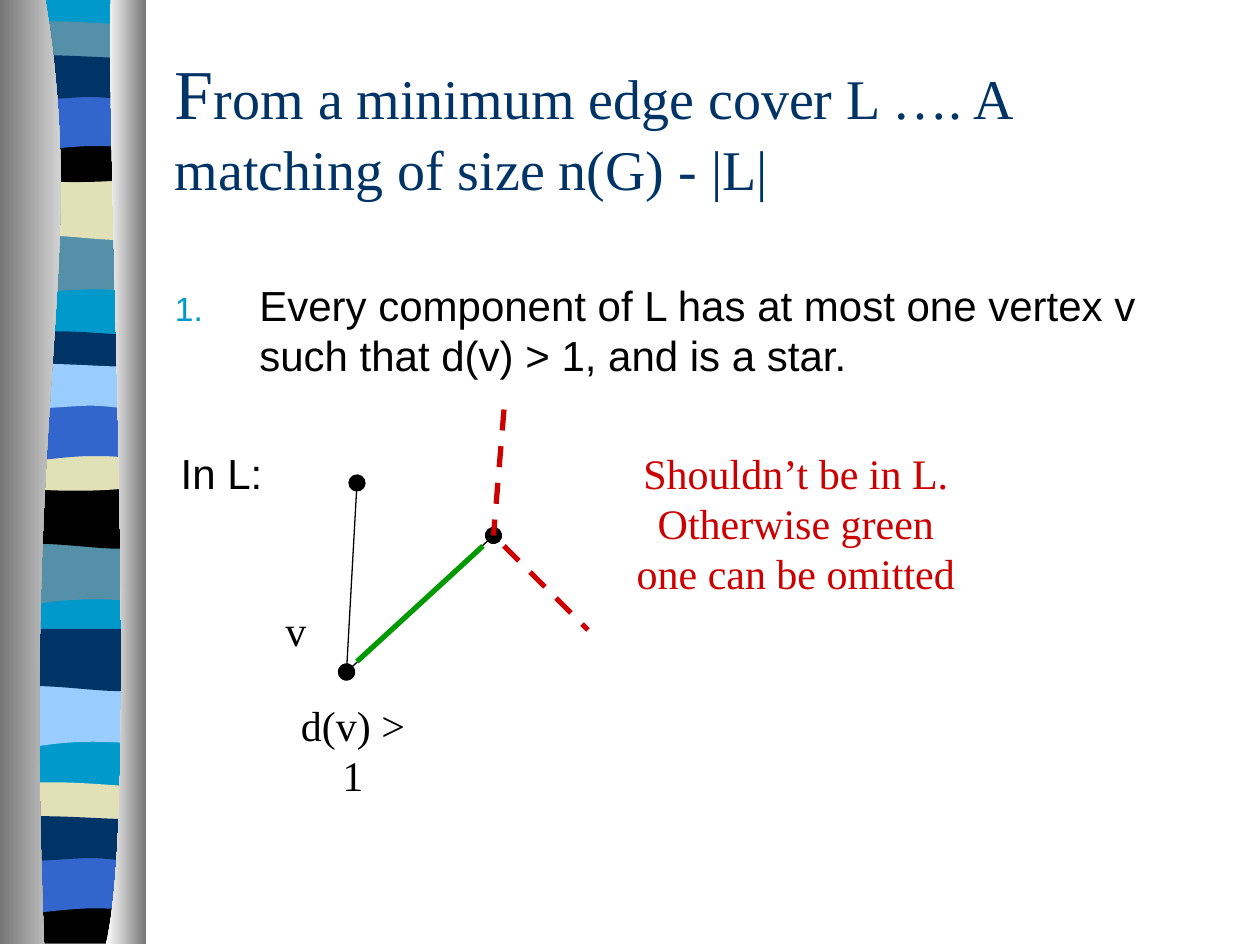
from lxml.etree import SubElement
from pptx import Presentation
from pptx.dml.color import RGBColor
from pptx.enum.dml import MSO_LINE
from pptx.enum.shapes import MSO_CONNECTOR
from pptx.enum.text import MSO_ANCHOR, MSO_AUTO_SIZE, PP_ALIGN
from pptx.oxml.ns import qn
from pptx.util import Inches, Pt

COLORS = {
    "cyan": "0099CC", "teal": "5490A8", "navy": "003366", "blue": "3366CC",
    "black": "000000", "sand": "E1E1B7", "sky": "99CCFF", "red": "CC0000",
    "green": "009900", "grey": "767676", "white": "FFFFFF",
}
SERIF, SANS = "Times New Roman", "Arial"
WIDTH, HEIGHT = 10, 7.5
STEP = 1 / 12
RIBBON_LEFT, RIBBON_RIGHT, RIBBON_END = 0.06, 1.14, 7.47

FLAT = [(RIBBON_LEFT, 0), (RIBBON_RIGHT, 0)]
WAVES = {
    "dip": (FLAT, [(1.14, 0.47), (0.39, 0.39), (0.24, 0.55), (0.06, 0.47)]),
    "swell": (FLAT, [(1.14, 0.47), (0.96, 0.55), (0.39, 0.41), (0.06, 0.47)]),
    "hill": ([(0.06, 0), (0.12, -0.05), (0.29, -0.04), (0.47, -0.04),
              (0.65, -0.04), (1, -0.01), (1.14, 0)],
             [(1.14, 0.24), (0.96, 0.28), (0.24, 0.28), (0.06, 0.24)]),
    "bowl": ([(0.06, 0), (0.72, 0.05), (0.91, 0), (1.14, 0)],
             [(1.14, 0.32), (0.96, 0.38), (0.24, 0.38), (0.06, 0.32)]),
    "arch": (FLAT, [(1.14, 0.47), (0.97, 0.42), (0.9, 0.42), (0.72, 0.42),
                    (0.54, 0.42), (0.22, 0.47), (0.06, 0.47)]),
    "rise": ([(0.06, 0), (0.21, -0.05), (0.79, 0), (0.97, 0),
              (1.15, 0), (1.1, 0), (1.14, 0)],
             [(1.14, 0.31), (1.07, 0.36), (0.9, 0.31), (0.72, 0.31),
              (0.54, 0.31), (0.17, 0.36), (0.06, 0.31)]),
    "foot": ([(0.06, 0), (0.72, 0.05), (0.91, 0), (1.14, 0)],
             [(1.14, 0.37), (0.06, 0.37)]),
    "ground": (FLAT, [(1.14, RIBBON_END), (0.06, RIBBON_END)]),
}
BANDS = [
    ("cyan", 0, "ground"),
    ("teal", 1.85, "dip"), ("sand", 1.41, "swell"), ("teal", 0.21, "hill"),
    ("black", 1.08, "bowl"), ("blue", 0.74, "arch"), ("navy", 0.46, "rise"),
    ("teal", 4.31, "dip"), ("black", 3.86, "swell"), ("navy", 2.67, "hill"),
    ("sand", 3.53, "bowl"), ("blue", 3.2, "arch"), ("sky", 2.91, "rise"),
    ("sky", 5.44, "dip"), ("navy", 4.99, "swell"), ("sand", 6.25, "hill"),
    ("black", 7.12, "foot"), ("blue", 6.79, "arch"), ("navy", 6.5, "rise"),
]
RIBBON_SIDES = [
    ([(0.36, 0), (0.71, 2.16), (0.17, 2.96), (0.35, 7.49)], 0, ("grey", "white")),
    ([(0.88, 0), (0.84, 1.25), (1.11, 6.46), (0.84, 7.49)], 1.16, ("white", "grey")),
]

TITLE = [("F", 40), ("rom a minimum edge cover L …. A matching of size n(G) - |L|", 32)]
CLAIM = "Every component of L has at most one vertex v such that d(v) > 1, and is a star."
LABELS = [
    (["v"], (26, 57), 0.36, SERIF, "black", False),
    (["d(v) > 1"], (26, 66), 1.27, SERIF, "black", False),
    (["In L:"], (16, 42), 0.85, SANS, "black", False),
    (["Shouldn’t be in L.", "Otherwise green one can be omitted"],
     (59, 42), 2.8, SERIF, "red", True),
]
TOP_VERTEX, CENTER_VERTEX, OUTER_VERTEX = (34, 46), (33, 64), (47, 51)
EDGES = [
    (TOP_VERTEX, CENTER_VERTEX, "black", 0.75, None, True),
    (CENTER_VERTEX, OUTER_VERTEX, "black", 0.75, None, True),
    ((48, 52), (56, 60), "red", 3, MSO_LINE.DASH, False),
    ((48, 39), OUTER_VERTEX, "red", 3, MSO_LINE.DASH, False),
    ((34, 63), (46, 52), "green", 3, None, False),
]


def rgb(name):
    return RGBColor.from_string(COLORS[name])


def grid(cell):
    return [Inches(part * STEP) for part in cell]


def set_all(target, values):
    for key, value in values.items():
        setattr(target, key, value)


def bend(segments):
    for i in range(0, len(segments), 3):
        curve, *others = segments[i:i + 3]
        curve.tag = qn("a:cubicBezTo")
        for other in others:
            curve.append(other[0])
            other.getparent().remove(other)


def add_outline(shapes, first, second):
    points = [(Inches(x), Inches(y)) for x, y in first + second]
    builder = shapes.build_freeform(*points[0])
    builder.add_line_segments(points[1:], close=True)
    outline = builder.convert_to_shape()
    segments = list(outline._element.iter(qn("a:lnTo")))
    for start, edge in ((0, first), (len(first), second)):
        if len(edge) > 2:
            bend(segments[start:start + len(edge) - 1])
    outline.shadow.inherit = False
    outline.line.fill.background()
    return outline


def add_ribbon(shapes):
    for color, top, wave in BANDS:
        upper, lower = [[(x, top + y) for x, y in edge] for edge in WAVES[wave]]
        band = add_outline(shapes, upper, lower)
        band.fill.solid()
        band.fill.fore_color.rgb = rgb(color)
    for curve, border, shades in RIBBON_SIDES:
        side = add_outline(shapes, curve, [(border, curve[-1][1]), (border, 0)])
        side.fill.gradient()
        side.fill.gradient_angle = 0
        for stop, shade in zip(side.fill.gradient_stops, shades):
            stop.color.rgb = rgb(shade)


def add_frame(shapes, left, top, width, height, **formats):
    frame = shapes.add_textbox(left, top, width, height).text_frame
    set_all(frame, {"word_wrap": True, **formats})
    return frame


def write(paragraph, text, size, font, color):
    run = paragraph.add_run()
    run.text = text
    set_all(run.font, {"size": Pt(size), "name": font})
    run.font.color.rgb = rgb(color)


def number(paragraph):
    properties = paragraph._p.get_or_add_pPr()
    properties.set("marL", str(Inches(0.67)))
    properties.set("indent", str(-Inches(0.67)))
    tint = SubElement(properties, qn("a:buClr"))
    SubElement(tint, qn("a:srgbClr"), val=COLORS["cyan"])
    SubElement(properties, qn("a:buSzPct"), val="80000")
    SubElement(properties, qn("a:buFont"), typeface=SANS)
    SubElement(properties, qn("a:buAutoNum"), type="arabicPeriod")


def add_edge(shapes, start, end, color, weight, dash, vertices):
    edge = shapes.add_connector(MSO_CONNECTOR.STRAIGHT, *grid(start), *grid(end))
    edge.line.color.rgb = rgb(color)
    set_all(edge.line, {"width": Pt(weight), "dash_style": dash})
    if vertices:
        for tip in ("a:headEnd", "a:tailEnd"):
            SubElement(edge.line._get_or_add_ln(), qn(tip), type="oval", w="lg", len="lg")
    SubElement(edge._element.spPr, qn("a:effectLst"))


def main():
    deck = Presentation()
    set_all(deck, {"slide_width": Inches(WIDTH), "slide_height": Inches(HEIGHT)})
    shapes = deck.slides.add_slide(deck.slide_layouts[6]).shapes
    add_ribbon(shapes)

    left, width = Inches(1.29), Inches(8.5)
    heading = add_frame(shapes, left, Inches(0.3), width, Inches(1.35),
                        vertical_anchor=MSO_ANCHOR.BOTTOM).paragraphs[0]
    heading.line_spacing = Pt(39)
    for text, size in TITLE:
        write(heading, text, size, SERIF, "navy")

    claim = add_frame(shapes, left, Inches(26 * STEP), width, Inches(4.92)).paragraphs[0]
    number(claim)
    claim.line_spacing = Pt(28.8)
    write(claim, CLAIM, 24, SANS, "black")

    for edge in EDGES:
        add_edge(shapes, *edge)
    for lines, cell, label_width, font, color, wrap in LABELS:
        frame = add_frame(shapes, *grid(cell), Inches(label_width),
                          Inches(1.7 if wrap else 0.5), word_wrap=wrap,
                          auto_size=MSO_AUTO_SIZE.SHAPE_TO_FIT_TEXT)
        for i, text in enumerate(lines):
            paragraph = frame.add_paragraph() if i else frame.paragraphs[0]
            set_all(paragraph, {"alignment": PP_ALIGN.CENTER, "line_spacing": Pt(28.8)})
            write(paragraph, text, 24, font, color)
    deck.save("out.pptx")


if __name__ == "__main__":
    main()
